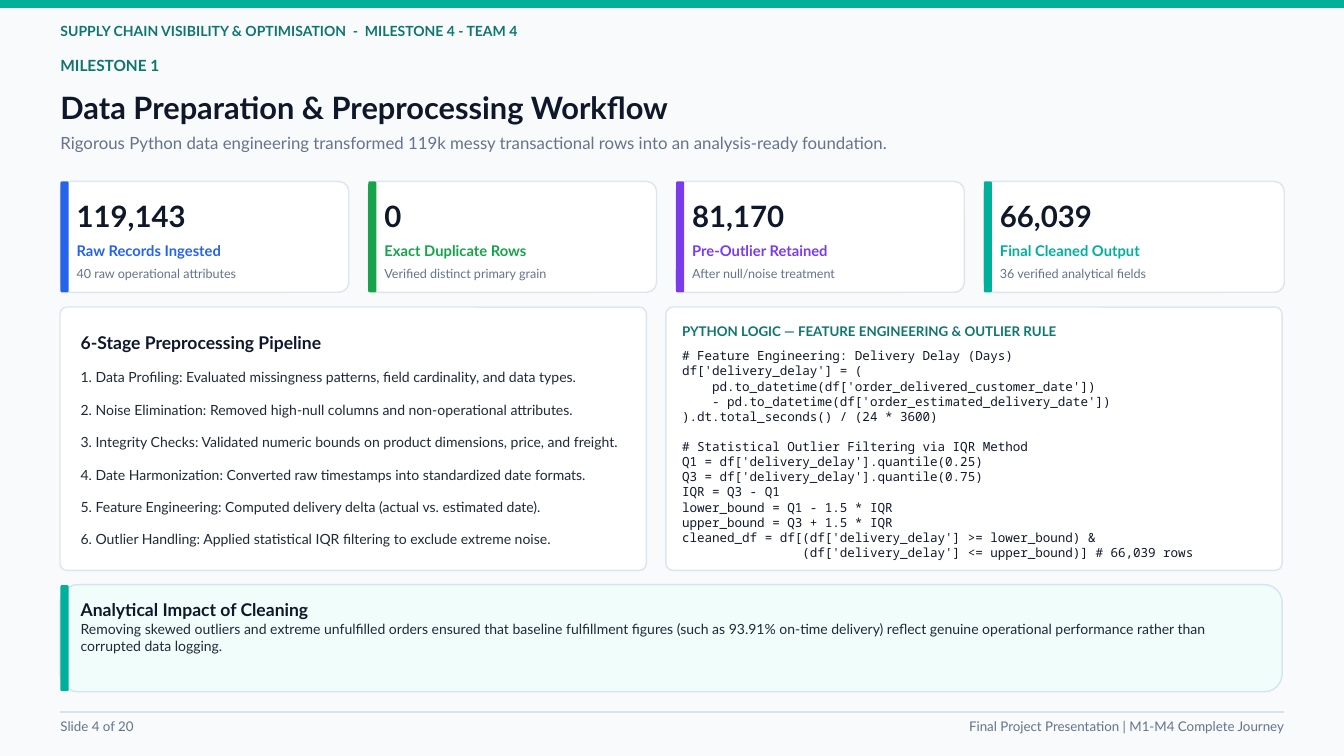
import pptx
import pptx.dml.color
import pptx.enum.shapes
import pptx.enum.text
import pptx.oxml.ns
import pptx.util
from lxml import etree

Pt = pptx.util.Pt
RGBColor = pptx.dml.color.RGBColor
SHAPE = pptx.enum.shapes.MSO_SHAPE
ALIGN = pptx.enum.text.PP_ALIGN

TEAL = RGBColor(0x00, 0xB0, 0x9B)
DARK_TEAL = RGBColor(0x0F, 0x76, 0x6E)
MINT = RGBColor(0xF0, 0xFD, 0xFA)
BLUE = RGBColor(0x25, 0x63, 0xEB)
GREEN = RGBColor(0x16, 0xA3, 0x4A)
PURPLE = RGBColor(0x7C, 0x3A, 0xED)
INK = RGBColor(0x0F, 0x17, 0x2A)
BODY_INK = RGBColor(0x1F, 0x29, 0x37)
SLATE = RGBColor(0x64, 0x74, 0x8B)
WHITE = RGBColor(0xFF, 0xFF, 0xFF)
PAPER = RGBColor(0xF8, 0xFA, 0xFC)
CARD_EDGE = RGBColor(0xDC, 0xE6, 0xF0)
RULE = RGBColor(0xD8, 0xE3, 0xF0)

LEFT, RIGHT = 64.8, 1376

deck = pptx.Presentation()
deck.slide_width, deck.slide_height = Pt(1440), Pt(810)
page = deck.slides.add_slide(deck.slide_layouts[1])
page.background.fill.solid()
page.background.fill.fore_color.rgb = PAPER


def add_block(left, top, width, height, fill, edge=None, radius=0):
    kind = SHAPE.ROUNDED_RECTANGLE if radius else SHAPE.RECTANGLE
    block = page.shapes.add_shape(kind, Pt(left), Pt(top), Pt(width), Pt(height))
    if radius:
        block.adjustments[0] = radius / min(width, height)
    block.shadow.inherit = False
    block.fill.solid()
    block.fill.fore_color.rgb = fill
    if edge is None:
        block.line.fill.background()
    else:
        block.line.color.rgb = edge
        block.line.width = Pt(1.5)
    return block


def write(left, top, width, height, rows, box=None, align=ALIGN.LEFT, font="Lato"):
    """Each row is (text, size, colour, bold, line height)."""
    box = box or page.shapes.add_textbox(0, 0, 0, 0)
    box.left, box.top, box.width, box.height = Pt(left), Pt(top), Pt(width), Pt(height)
    frame = box.text_frame
    frame.text = "\n".join(row[0] for row in rows)
    frame.word_wrap = True
    frame.auto_size = pptx.enum.text.MSO_AUTO_SIZE.NONE
    frame.vertical_anchor = pptx.enum.text.MSO_ANCHOR.TOP
    frame.margin_left = frame.margin_right = frame.margin_top = frame.margin_bottom = 0
    for para, (text, size, color, bold, line_height) in zip(frame.paragraphs, rows):
        para.alignment = align
        para.line_spacing = Pt(line_height)
        para.space_before = para.space_after = Pt(0)
        for span in para.runs:
            span.font.name = font
            span.font.size = Pt(size)
            span.font.bold = bold
            span.font.color.rgb = color
    return box


# Header
add_block(0, 0, 1440, 8.6, TEAL)
write(LEFT, 23.8, 865, 32, [
    ("SUPPLY CHAIN VISIBILITY & OPTIMISATION  -  MILESTONE 4 - TEAM 4",
     15, DARK_TEAL, True, 18)])
write(LEFT, 59.8, 865, 27, [("MILESTONE 1", 16.5, DARK_TEAL, True, 19.8)])
write(LEFT, 95, 1297, 38, [
    ("Data Preparation & Preprocessing Workflow", 33, INK, True, 39.6)],
    box=page.shapes.title)
write(LEFT, 142.6, 1297, 21, [
    ("Rigorous Python data engineering transformed 119k messy transactional rows "
     "into an analysis-ready foundation.", 18, SLATE, False, 21.6)])

# Metric cards
metrics = [
    ("119,143", "Raw Records Ingested", "40 raw operational attributes", BLUE),
    ("0", "Exact Duplicate Rows", "Verified distinct primary grain", GREEN),
    ("81,170", "Pre-Outlier Retained", "After null/noise treatment", PURPLE),
    ("66,039", "Final Cleaned Output", "36 verified analytical fields", TEAL),
]
for index, (value, label, detail, accent) in enumerate(metrics):
    left = LEFT + index * 329.76
    width = RIGHT - left if index == len(metrics) - 1 else 308.9
    add_block(left, 194.4, width, 118.8, WHITE, CARD_EDGE, radius=10.5)
    add_block(left, 194.4, 8.64, 118.8, accent, radius=1.5)
    write(left + 17.3, 194.4, 280, 106, [
        (value, 31.5, INK, True, 55.5),
        (label, 15.8, accent, True, 27.7),
        (detail, 13.5, SLATE, False, 23.8)])

# Pipeline panel
pipeline_panel = add_block(64.3, 329, 628.3, 282.2, WHITE, CARD_EDGE, radius=7.5)
stages = [
    "1. Data Profiling: Evaluated missingness patterns, field cardinality, and data types.",
    "2. Noise Elimination: Removed high-null columns and non-operational attributes.",
    "3. Integrity Checks: Validated numeric bounds on product dimensions, price, and freight.",
    "4. Date Harmonization: Converted raw timestamps into standardized date formats.",
    "5. Feature Engineering: Computed delivery delta (actual vs. estimated date).",
    "6. Outlier Handling: Applied statistical IQR filtering to exclude extreme noise.",
]
pipeline = write(86.4, 355.7, 589, 232, [
    ("6-Stage Preprocessing Pipeline", 18.8, INK, True, 22.5)]
    + [(stage, 15, BODY_INK, False, 34.8) for stage in stages],
    box=page.placeholders[1])
for para in pipeline.text_frame.paragraphs:
    properties = para._p.get_or_add_pPr()
    properties.set("marL", "0")
    properties.set("indent", "0")
    etree.SubElement(properties, pptx.oxml.ns.qn("a:buNone"))
pipeline_panel.element.addnext(pipeline.element)  # bring the list above its panel

# Code panel
add_block(713.5, 329, 660.2, 282.2, WHITE, CARD_EDGE, radius=7.5)
write(730.8, 346.3, 625, 24, [
    ("PYTHON LOGIC — FEATURE ENGINEERING & OUTLIER RULE", 14.3, DARK_TEAL, True, 17.1)])
code = """# Feature Engineering: Delivery Delay (Days)
df['delivery_delay'] = (
    pd.to_datetime(df['order_delivered_customer_date'])
    - pd.to_datetime(df['order_estimated_delivery_date'])
).dt.total_seconds() / (24 * 3600)
# Statistical Outlier Filtering via IQR Method
Q1 = df['delivery_delay'].quantile(0.25)
Q3 = df['delivery_delay'].quantile(0.75)
IQR = Q3 - Q1
lower_bound = Q1 - 1.5 * IQR
upper_bound = Q3 + 1.5 * IQR
cleaned_df = df[(df['delivery_delay'] >= lower_bound) &
                (df['delivery_delay'] <= upper_bound)] # 66,039 rows"""
listing = write(730.8, 373, 625, 229, [
    (line, 13.5, INK, False, 16.2) for line in code.split("\n")], font="Noto Sans Mono")
for para in listing.text_frame.paragraphs[1:]:
    if para.text.startswith("#"):
        para.space_before = Pt(16.2)

# Impact callout
add_block(64.3, 626.4, 1309.4, 114.8, MINT, RULE, radius=19)
add_block(LEFT, 627, 8.64, 113.5, TEAL, radius=1.5)
write(86.4, 642.2, 1270, 84, [
    ("Analytical Impact of Cleaning", 18.8, INK, True, 22.5),
    ("Removing skewed outliers and extreme unfulfilled orders ensured that baseline "
     "fulfillment figures (such as 93.91% on-time delivery) reflect genuine operational "
     "performance rather than corrupted data logging.", 15, BODY_INK, False, 18)])

# Footer
rule = page.shapes.add_connector(
    pptx.enum.shapes.MSO_CONNECTOR.STRAIGHT, Pt(LEFT), Pt(762.8), Pt(RIGHT), Pt(762.8))
rule.line.color.rgb = RULE
rule.line.width = Pt(1.8)
etree.SubElement(rule.element.spPr, pptx.oxml.ns.qn("a:effectLst"))
write(LEFT, 769.7, 432, 27, [("Slide 4 of 20", 14.3, SLATE, False, 17.1)])
write(RIGHT - 432, 769.7, 432, 27, [
    ("Final Project Presentation | M1-M4 Complete Journey", 14.3, SLATE, False, 17.1)],
    align=ALIGN.RIGHT)

deck.save("out.pptx")
